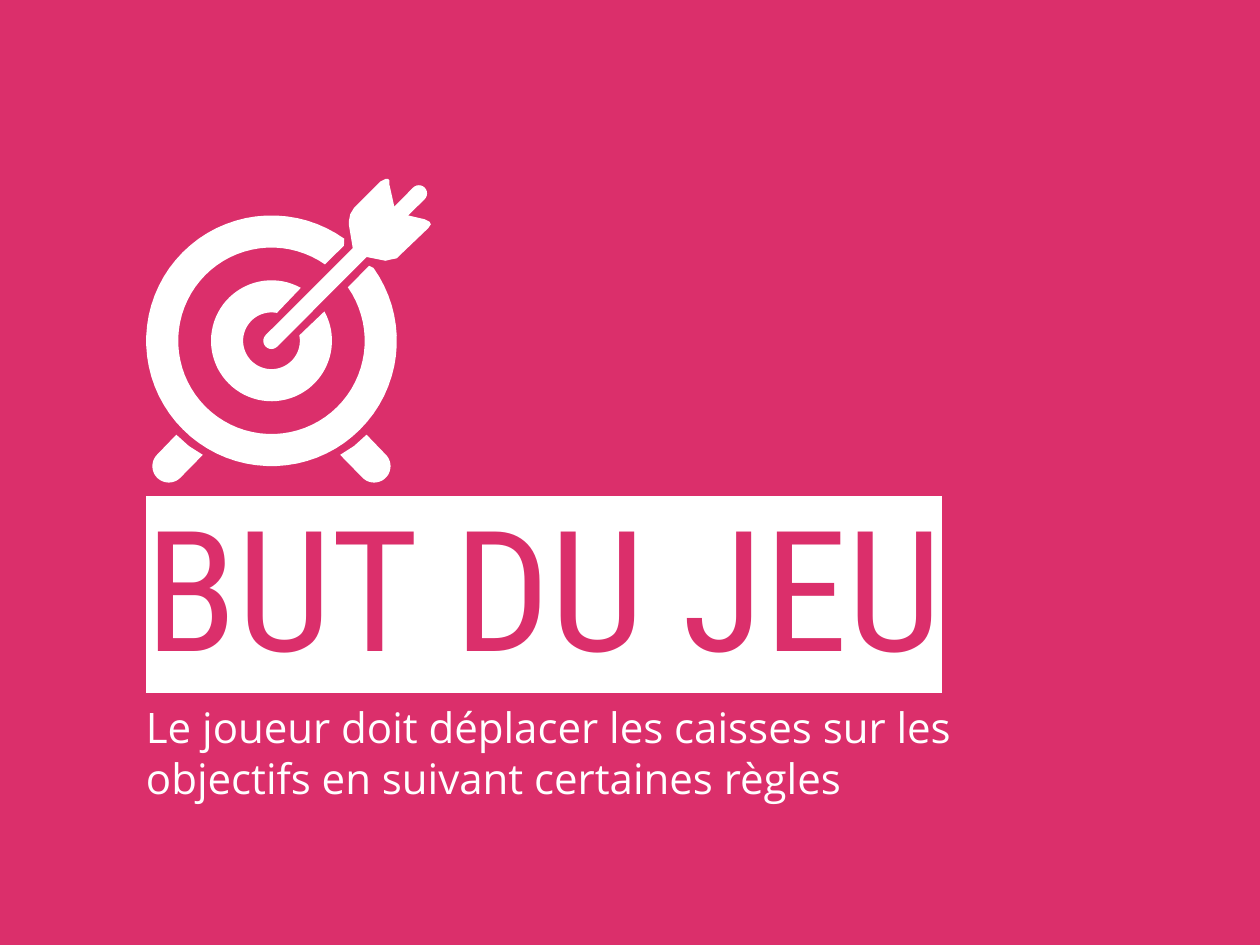
import math
import dataclasses
import pptx
import pptx.util
import pptx.dml.color
import pptx.enum.text
import pptx.oxml
import pptx.oxml.ns


@dataclasses.dataclass(frozen=True)
class Theme:
    pink: str = "DB2F6B"
    white: str = "FFFFFF"
    title_font: str = "Roboto Condensed"
    body_font: str = "Open Sans"
    title_size: int = 96
    body_size: int = 24


def color(value):
    return pptx.dml.color.RGBColor.from_string(value)


def write_text(paragraph, text, *, font, size, fill, highlight=None, spacing=1.0):
    paragraph.line_spacing = spacing
    run = paragraph.add_run()
    run.text = text
    run.font.size = pptx.util.Pt(size)
    run.font.color.rgb = color(fill)
    run.font.name = font
    if highlight:
        properties = run.font._element
        mark = pptx.oxml.parse_xml(
            f'<a:highlight {pptx.oxml.ns.nsdecls("a")}>'
            f'<a:srgbClr val="{highlight}"/></a:highlight>'
        )
        properties.find(pptx.oxml.ns.qn("a:solidFill")).addnext(mark)


def arc(center, radius, start, end, steps=40):
    angles = [math.radians(start + (end - start) * i / steps) for i in range(steps + 1)]
    return [
        (center[0] + radius * math.cos(angle), center[1] + radius * math.sin(angle))
        for angle in angles
    ]


class SlideBuilder:
    def __init__(self, presentation, theme):
        self.theme = theme
        self.width = presentation.slide_width
        self.height = presentation.slide_height
        self.slide = presentation.slides.add_slide(presentation.slide_layouts[6])
        background = self.slide.background.fill
        background.solid()
        background.fore_color.rgb = color(theme.pink)

    def text(self, left, top, width, height, text, top_inset=0.1, **style):
        shape = self.slide.shapes.add_textbox(
            round(left * self.width), round(top * self.height),
            round(width * self.width), round(height * self.height),
        )
        frame = shape.text_frame
        frame.word_wrap = True
        frame.vertical_anchor = pptx.enum.text.MSO_ANCHOR.TOP
        frame.margin_left = frame.margin_right = frame.margin_bottom = pptx.util.Inches(0.1)
        frame.margin_top = pptx.util.Inches(top_inset)
        write_text(frame.paragraphs[0], text, **style)

    def outline(self, points):
        vertices = [(pptx.util.Inches(x), pptx.util.Inches(y)) for x, y in points]
        builder = self.slide.shapes.build_freeform(*vertices[0], scale=1.0)
        builder.add_line_segments(vertices[1:], close=True)
        shape = builder.convert_to_shape()
        shape.shadow.inherit = False
        shape.fill.solid()
        shape.fill.fore_color.rgb = color(self.theme.white)
        shape.line.fill.background()

    def ring(self, center, outer, inner, outer_gap, inner_gap, end_corner=(), start_corner=()):
        self.outline([
            *arc(center, outer, -45 + outer_gap, 315 - outer_gap, 72),
            *end_corner,
            *arc(center, inner, 315 - inner_gap, -45 + inner_gap, 72),
            *start_corner,
        ])


def draw_target(builder):
    center = (2.155, 2.705)
    builder.ring(center, 0.995, 0.74, 9.5, 10, [(2.73, 1.95)], [(2.93, 2.11)])
    builder.ring(center, 0.48, 0.225, 16, 34)

    left_leg = [(1.4, 3.45), *arc((1.34, 3.7), 0.13, 225, 45), (1.61, 3.61), (1.5, 3.54)]
    builder.outline(left_leg)
    builder.outline([(2 * center[0] - x, y) for x, y in left_leg])

    builder.outline([
        (3.06, 1.42), (3.02, 1.44), (2.81, 1.65), (2.78, 1.7), (2.77, 1.75),
        (2.77, 1.79), (2.8, 1.97),
        *arc((2.155, 2.705), 0.065, 225, 45, 12),
        (2.91, 2.04), (3.06, 2.07), (3.1, 2.06), (3.15, 2.05), (3.18, 2.02),
        (3.4, 1.81), (3.42, 1.78), (3.41, 1.76), (3.37, 1.74), (3.24, 1.71),
        *arc((3.325, 1.535), 0.065, 45, -135, 12),
        (3.13, 1.64), (3.09, 1.46), (3.09, 1.43), (3.08, 1.42),
    ])


def main():
    presentation = pptx.Presentation()
    presentation.slide_width = pptx.util.Inches(10)
    presentation.slide_height = pptx.util.Inches(7.5)
    theme = Theme()
    builder = SlideBuilder(presentation, theme)
    builder.text(
        0.106, 3.64 / 7.5, 0.788, 1.69 / 7.5, "BUT DU JEU", top_inset=0.2,
        font=theme.title_font, size=theme.title_size,
        fill=theme.pink, highlight=theme.white,
    )
    builder.text(
        0.106, 5.47 / 7.5, 0.788, 1.14 / 7.5,
        "Le joueur doit déplacer les caisses sur les objectifs en suivant certaines règles",
        font=theme.body_font, size=theme.body_size, fill=theme.white,
    )
    draw_target(builder)
    presentation.save("out.pptx")


main()
